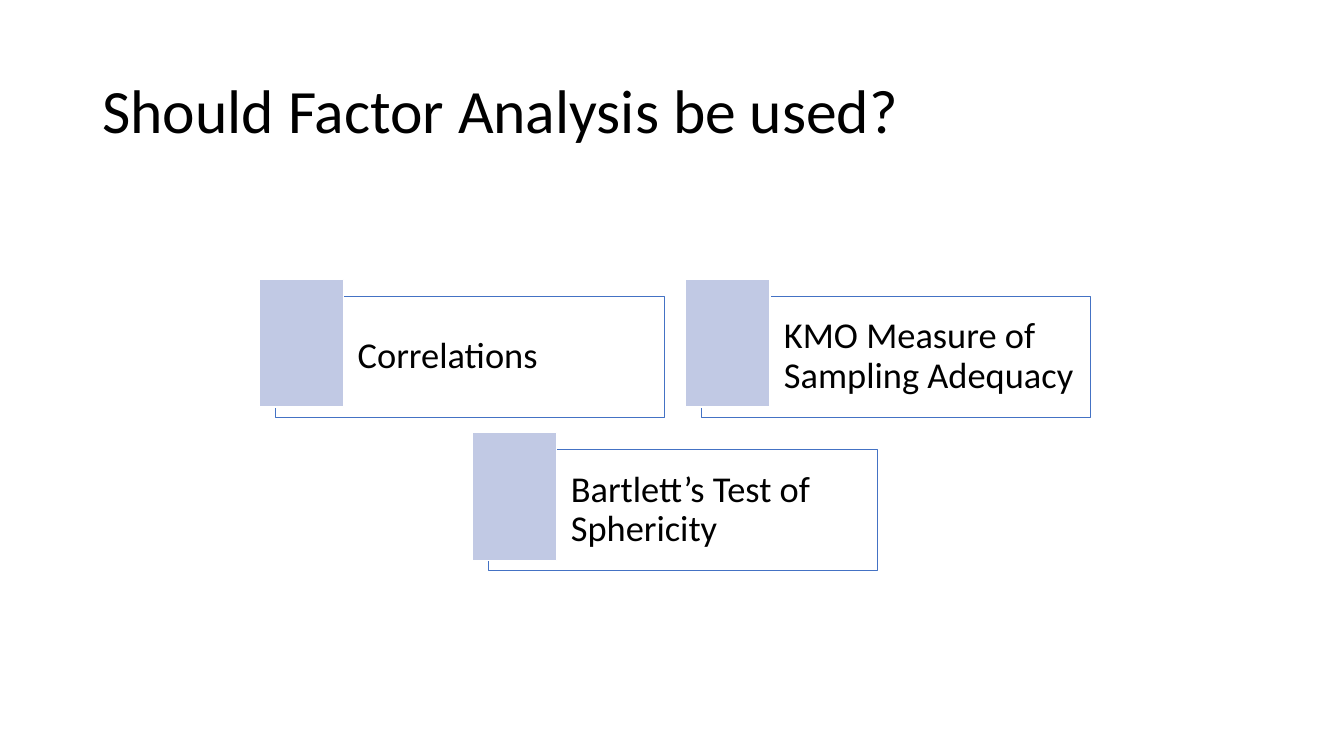
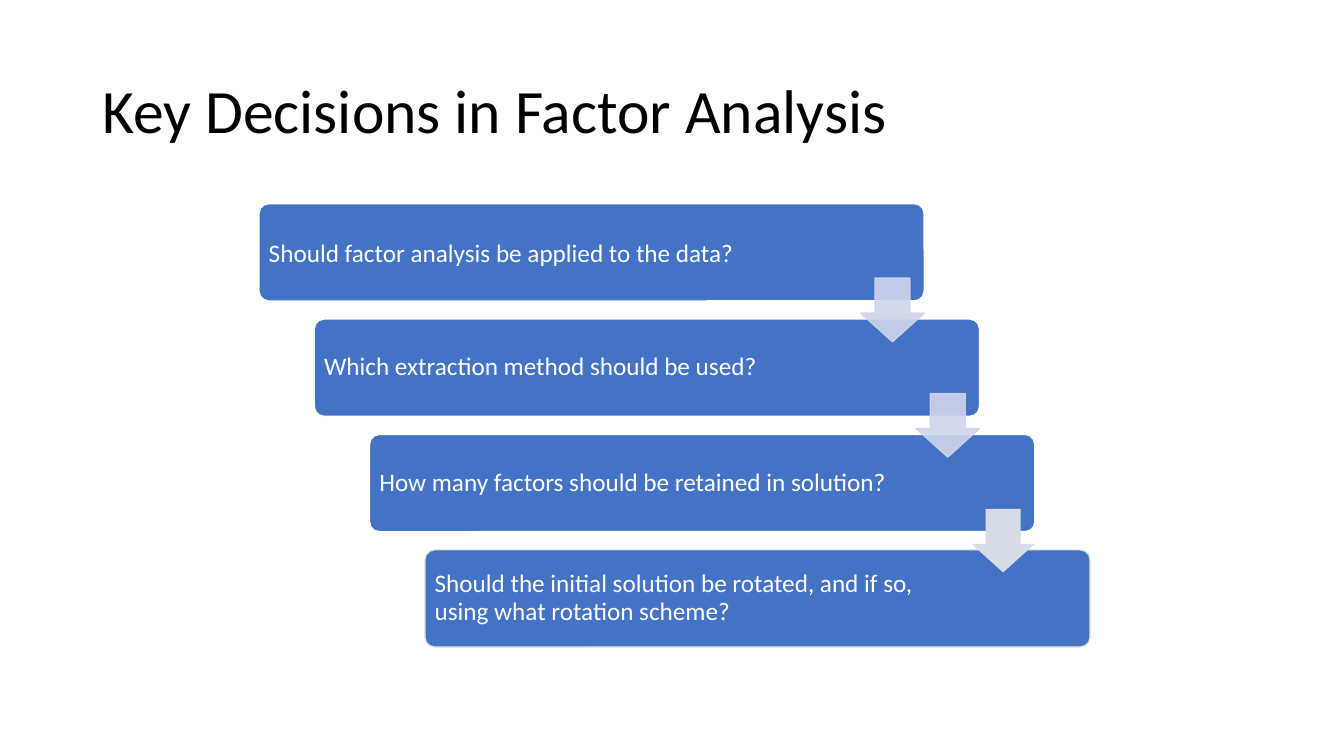
from dataclasses import dataclass

from lxml.etree import SubElement
from pptx import Presentation
from pptx.dml.color import RGBColor
from pptx.enum.shapes import MSO_SHAPE
from pptx.enum.text import MSO_ANCHOR, PP_ALIGN
from pptx.oxml.ns import qn
from pptx.util import Pt


@dataclass(frozen=True)
class Theme:
    font: str = "Calibri"
    black: str = "000000"
    white: str = "FFFFFF"
    blue: str = "4472C4"
    lavender: str = "C1C9E4"
    pale_blue: str = "CFD5EA"
    blue_grey: str = "D6DCE5"
    light_grey: str = "E7E6E6"
    title_size: float = 44
    card_size: float = 26
    step_size: float = 18


def write_text(shape, text, *, font, size, color, insets, line_spacing=0.9):
    frame = shape.text_frame
    frame.word_wrap = True
    frame.vertical_anchor = MSO_ANCHOR.MIDDLE
    frame.margin_left, frame.margin_top, frame.margin_right, frame.margin_bottom = map(Pt, insets)
    paragraph = frame.paragraphs[0]
    paragraph.alignment = PP_ALIGN.LEFT
    paragraph.line_spacing = line_spacing
    run = paragraph.add_run()
    run.text = text
    run.font.name = font
    run.font.size = Pt(size)
    run.font.color.rgb = RGBColor.from_string(color)


def paint(fill, color, opacity):
    fill.solid()
    fill.fore_color.rgb = RGBColor.from_string(color)
    if opacity < 100:
        for color_element in fill._xPr.iter(qn("a:srgbClr")):
            if color_element.find(qn("a:alpha")) is None:
                SubElement(color_element, qn("a:alpha")).set("val", str(opacity * 1000))


class Deck:
    def __init__(self, theme):
        self.theme = theme
        self.presentation = Presentation()
        self.presentation.slide_width = Pt(960)
        self.presentation.slide_height = Pt(540)
        self.slide = None

    def new_slide(self, title):
        self.slide = self.presentation.slides.add_slide(self.presentation.slide_layouts[6])
        box = self.slide.shapes.add_textbox(Pt(66), Pt(28.75), Pt(828), Pt(104.4))
        write_text(box, title, font=self.theme.font, size=self.theme.title_size,
                   color=self.theme.black, insets=(7.2, 3.6, 7.2, 3.6))

    def shape(self, kind, left, top, width, height, *, fill, line=None, weight=1,
              opacity=100, line_opacity=100, adjustments=()):
        shape = self.slide.shapes.add_shape(kind, Pt(left), Pt(top), Pt(width), Pt(height))
        shape.shadow.inherit = False
        for index, value in enumerate(adjustments):
            shape.adjustments[index] = value
        paint(shape.fill, fill, opacity)
        if line:
            shape.line.width = Pt(weight)
            paint(shape.line.fill, line, line_opacity)
        else:
            shape.line.fill.background()
        return shape

    def card(self, left, top, text):
        theme = self.theme
        panel = self.shape(MSO_SHAPE.RECTANGLE, left, top, 278, 86.5, fill=theme.white,
                           line=theme.blue, weight=0.5, opacity=40)
        write_text(panel, text, font=theme.font, size=theme.card_size,
                   color=theme.black, insets=(59, 8, 8, 8))
        self.shape(MSO_SHAPE.RECTANGLE, left - 11.5, top - 12, 60.5, 91.25,
                   fill=theme.lavender, line=theme.white)

    def step(self, left, top, text, *, line, line_spacing):
        theme = self.theme
        box = self.shape(MSO_SHAPE.ROUNDED_RECTANGLE, left, top, 475.2, 69.5,
                         fill=theme.blue, line=line, adjustments=(0.1,))
        write_text(box, text, font=theme.font, size=theme.step_size, color=theme.white,
                   insets=(5, 5, 90, 5), line_spacing=line_spacing)

    def arrow(self, left, top, **style):
        self.shape(MSO_SHAPE.DOWN_ARROW, left, top, 45.4, 45.4,
                   adjustments=(0.55, 0.45), **style)


def add_criteria_slide(deck):
    deck.new_slide("Should Factor Analysis be used?")
    half_column, row = 152.25, 109.5
    cards = [
        (0, 0, "Correlations"),
        (2, 0, "KMO Measure of Sampling Adequacy"),
        (1, 1, "Bartlett’s Test of Sphericity"),
    ]
    for column_index, row_index, text in cards:
        deck.card(196.5 + column_index * half_column, 211.5 + row_index * row, text)


def add_decisions_slide(deck):
    theme = deck.theme
    deck.new_slide("Key Decisions in Factor Analysis")
    steps = [
        "Should factor analysis be applied to the data?",
        "Which extraction method should be used?",
        "How many factors should be retained in solution?",
        "Should the initial solution be rotated, and if so, using what rotation scheme?",
    ]
    positions = [(185 + 39.5 * index, 145.5 + 82.4 * index) for index in range(len(steps))]
    last = len(steps) - 1
    for index, (text, (left, top)) in enumerate(zip(steps, positions)):
        deck.step(left, top, text,
                  line=theme.light_grey if index == last else theme.white,
                  line_spacing=0.9 if index else 1.0)
    translucent = dict(fill=theme.pale_blue, line=theme.pale_blue, opacity=90, line_opacity=90)
    arrow_styles = [translucent, translucent, dict(fill=theme.blue_grey)]
    for (left, top), style in zip(positions, arrow_styles):
        deck.arrow(left + 429.8, top + 53.2, **style)


def main():
    deck = Deck(Theme())
    add_criteria_slide(deck)
    add_decisions_slide(deck)
    deck.presentation.save("out.pptx")


if __name__ == "__main__":
    main()
